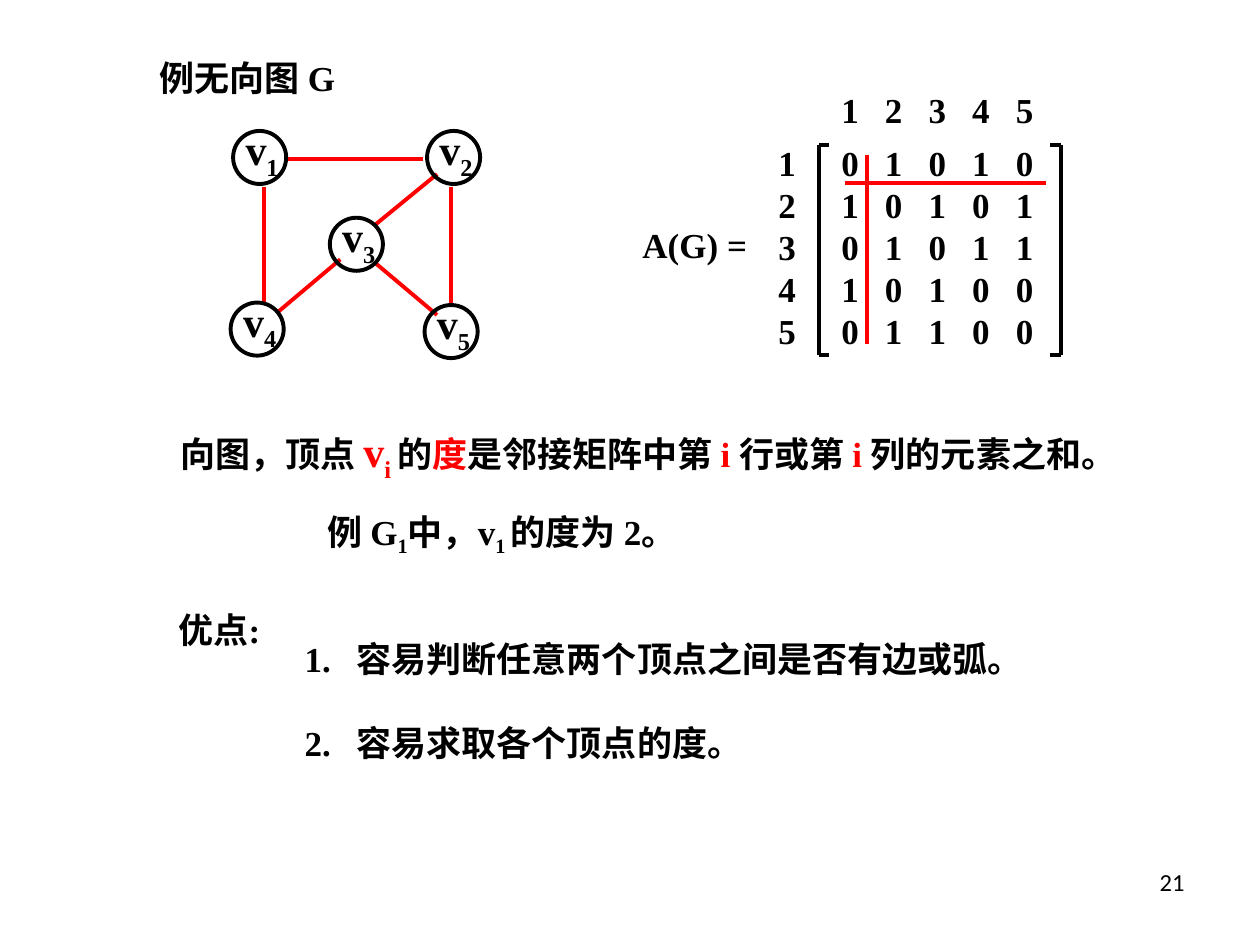
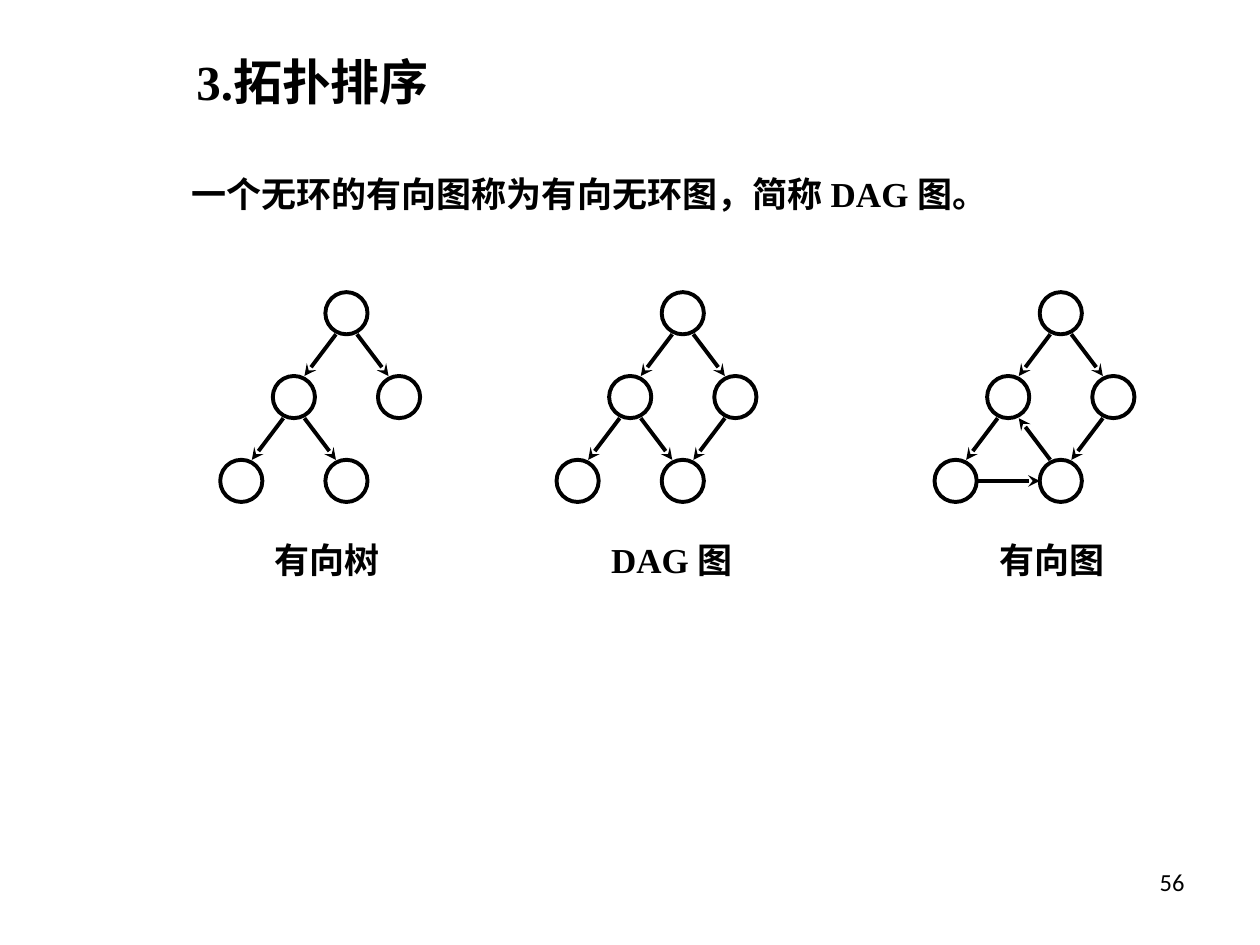
from dataclasses import dataclass

from lxml import etree
from pptx import Presentation
from pptx import util as u
from pptx.dml.color import RGBColor
from pptx.enum import shapes, text
from pptx.oxml.ns import qn


@dataclass(frozen=True)
class Theme:
    ink: RGBColor = RGBColor(0, 0, 0)
    accent: RGBColor = RGBColor(255, 0, 0)
    serif: str = "Times New Roman"
    sans: str = "Calibri"
    title: int = 28
    vertex: int = 24
    body: int = 20
    number: int = 14
    stroke: float = 2.25


THEME = Theme()


@dataclass(frozen=True)
class Span:
    words: str
    color: RGBColor = THEME.ink
    size: int = THEME.body
    lowered: bool = False


def add_text(page, left, top, width, height, content, size=THEME.body,
             font=THEME.serif, bold=True, align=text.PP_ALIGN.LEFT, tabs=()):
    box = page.shapes.add_textbox(u.Cm(left), u.Cm(top), u.Cm(width), u.Cm(height))
    box.text_frame.word_wrap = True
    para = box.text_frame.paragraphs[0]
    para.alignment = align
    if tabs:
        stops = etree.SubElement(para._p.get_or_add_pPr(), qn("a:tabLst"))
        for position in tabs:
            etree.SubElement(stops, qn("a:tab"), pos=str(u.Cm(position)), algn="l")
    spans = [Span(content, size=size)] if isinstance(content, str) else content
    for span in spans:
        run = para.add_run()
        run.text = span.words
        run.font.name = font
        run.font.bold = bold
        run.font.size = u.Pt(span.size)
        run.font.color.rgb = span.color
        if span.lowered:
            run._r.get_or_add_rPr().set("baseline", "-25000")


def add_line(page, x1, y1, x2, y2, color=THEME.ink, arrow=False):
    line = page.shapes.add_connector(
        shapes.MSO_CONNECTOR.STRAIGHT, u.Cm(x1), u.Cm(y1), u.Cm(x2), u.Cm(y2))
    line.line.color.rgb = color
    line.line.width = u.Pt(THEME.stroke)
    if arrow:
        etree.SubElement(line.line._get_or_add_ln(), qn("a:tailEnd"), type="stealth")
    etree.SubElement(line._element.spPr, qn("a:effectLst"))


def add_circle(page, left, top, diameter):
    circle = page.shapes.add_shape(
        shapes.MSO_SHAPE.OVAL, u.Cm(left), u.Cm(top), u.Cm(diameter), u.Cm(diameter))
    circle.shadow.inherit = False
    circle.fill.background()
    circle.line.color.rgb = THEME.ink
    circle.line.width = u.Pt(THEME.stroke)


def add_page(deck, number):
    page = deck.slides.add_slide(deck.slide_layouts[6])
    add_text(page, 18.21, 17.35, 5.92, 1.32, str(number), THEME.number,
             THEME.sans, bold=False, align=text.PP_ALIGN.RIGHT)
    return page


def add_undirected_graph(page):
    edges = [
        (5.79, 3.2, 8.53, 3.2), (5.33, 3.76, 5.33, 6.1), (9.09, 3.76, 9.09, 6.1),
        (7.54, 5.28, 8.81, 6.35), (8.81, 3.51, 7.54, 4.55), (6.86, 5.23, 5.59, 6.3),
    ]
    vertices = [(4.7, 2.64), (8.61, 2.64), (6.65, 4.39), (4.65, 6.1), (8.56, 6.15)]
    for edge in edges:
        add_line(page, *edge, color=THEME.accent)
    for index, (left, top) in enumerate(vertices, 1):
        add_circle(page, left, top, 1.07)
        label = [Span("v", size=THEME.vertex),
                 Span(str(index), size=THEME.vertex, lowered=True)]
        add_text(page, left, top - 0.27, 1.9, 1.42, label)


def add_adjacency_matrix(page):
    rows = ["01010", "10101", "01011", "10100", "01100"]
    columns = [0.88 * column for column in range(1, 5)]
    first_row, row_pitch = 2.72, 0.85
    top, bottom = 2.92, 7.16

    add_line(page, 17.04, 3.68, 21.08, 3.68, THEME.accent)
    add_line(page, 17.48, 3.12, 17.48, 6.93, THEME.accent)
    add_text(page, 12.7, 4.39, 4.45, 1.12, "A(G) =")
    add_text(page, 16.71, 1.65, 6.99, 1.12, "\t".join("12345"), tabs=columns)
    for index, digits in enumerate(rows):
        y = first_row + index * row_pitch
        add_text(page, 15.44, y, 0.84, 1.12, str(index + 1))
        add_text(page, 16.71, y, 6.99, 1.12, "\t".join(digits), tabs=columns)
    for side, tip in [(16.51, 16.71), (21.39, 21.16)]:
        add_line(page, side, top, side, bottom)
        for y in (top, bottom):
            add_line(page, side, y, tip, y)


NODES = {"root": (0, 0), "left": (-1, 1), "right": (1, 1),
         "outer": (-2, 2), "inner": (0, 2)}


def sign(value):
    return (value > 0) - (value < 0)


def add_digraph(page, root_left, edges, caption, caption_left):
    diameter, step, level = 0.85, 1.06, 1.69
    spots = {name: (root_left + column * step, 5.89 + row * level)
             for name, (column, row) in NODES.items()}
    for left, top in spots.values():
        add_circle(page, left, top, diameter)
    for start, end in edges:
        across = sign(NODES[end][0] - NODES[start][0])
        down = sign(NODES[end][1] - NODES[start][1])
        dx = diameter * across * (0.25 if down else 0.5)
        dy = diameter * down * 0.5
        (x1, y1), (x2, y2) = [(x + diameter / 2, y + diameter / 2)
                              for x, y in (spots[start], spots[end])]
        add_line(page, x1 + dx, y1 + dy, x2 - dx, y2 - dy, arrow=True)
    add_text(page, caption_left, 10.74, 4.01, 1.12, caption)


def build_degree_page(deck):
    page = add_page(deck, 21)
    red = THEME.accent
    degree_rule = [
        Span("向图，顶点 "), Span("v", red, THEME.vertex),
        Span("i ", red, THEME.vertex, True), Span("的"), Span("度", red),
        Span("是邻接矩阵中第 "), Span("i ", red), Span("行或第 "),
        Span("i ", red), Span("列的元素之和。"),
    ]
    degree_example = [
        Span("例 G"), Span("1", lowered=True), Span("中，v"),
        Span("1 ", lowered=True), Span("的度为 2。"),
    ]
    advantages = ["容易判断任意两个顶点之间是否有边或弧。", "容易求取各个顶点的度。"]

    add_text(page, 3.38, 8.46, 20.12, 1.42, degree_rule)
    add_text(page, 6.35, 10.16, 16.71, 1.22, degree_example)
    add_undirected_graph(page)
    add_text(page, 2.97, 1.02, 7.19, 1.12, "例无向图 G")
    add_adjacency_matrix(page)
    add_text(page, 3.35, 12.14, 3.38, 1.12, "优点:")
    for index, advantage in enumerate(advantages):
        add_text(page, 5.89, 12.73 + index * 1.7, 18.62, 1.12,
                 f"{index + 1}.\t{advantage}", tabs=[1.05])


def build_topology_page(deck):
    page = add_page(deck, 56)
    add_text(page, 3.71, 0.91, 15.04, 1.45, "3.拓扑排序", THEME.title)
    add_text(page, 3.61, 3.35, 18.85, 1.12,
             "一个无环的有向图称为有向无环图，简称 DAG 图。")

    shared = [("root", "left"), ("left", "outer"), ("root", "right")]
    tree = shared + [("left", "inner")]
    dag = tree + [("right", "inner")]
    cyclic = shared + [("inner", "left"), ("right", "inner"), ("outer", "inner")]
    add_digraph(page, 6.56, tree, "有向树", 5.29)
    add_digraph(page, 13.34, dag, "DAG 图", 12.07)
    add_digraph(page, 20.96, cyclic, "有向图", 19.9)


def main():
    deck = Presentation()
    deck.slide_width, deck.slide_height = u.Cm(25.4), u.Cm(19.05)
    build_degree_page(deck)
    build_topology_page(deck)
    deck.save("out.pptx")


if __name__ == "__main__":
    main()
